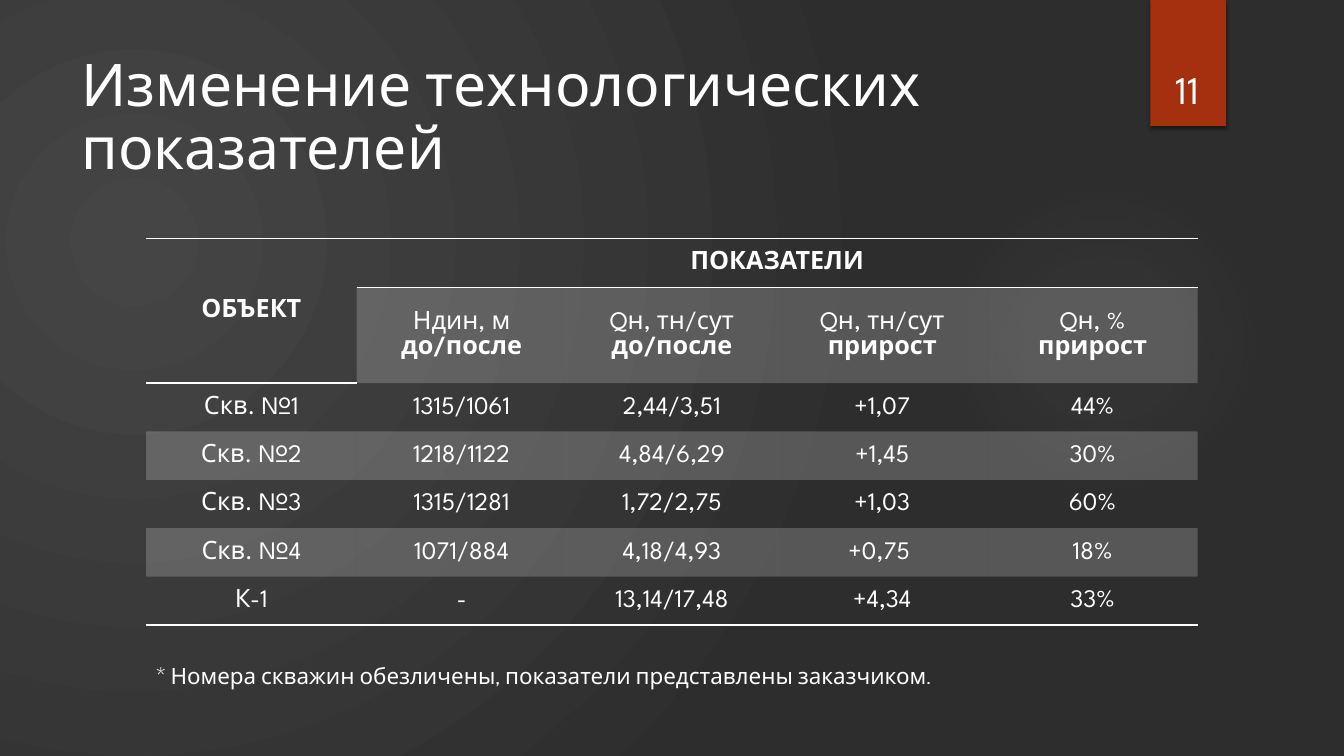
from dataclasses import dataclass

import pptx
import pptx.dml.color
import pptx.enum.shapes
import pptx.enum.text
import pptx.oxml
import pptx.oxml.ns
import pptx.util
from pptx.util import Inches


@dataclass(frozen=True)
class Theme:
    heading_font: str = "League Spartan"
    note_font: str = "Cabin"
    text: str = "FFFFFF"
    accent: str = "A5300F"
    glow: str = "848484"
    background_center: str = "454545"
    background_edge: str = "2D2D2D"
    title_size: int = 42
    number_size: int = 28
    table_size: int = 18
    note_size: int = 16


THEME = Theme()
NO_TABLE_STYLE = "{2D5ABB26-0587-4C30-8999-92F81FD0307C}"
COLUMN_HEADS = [
    ("Ндин, м", "до/после"),
    ("Qн, тн/сут", "до/после"),
    ("Qн, тн/сут", "прирост"),
    ("Qн, %", "прирост"),
]
WELLS = [
    ("Скв. №1", "1315/1061", "2,44/3,51", "+1,07", "44%"),
    ("Скв. №2", "1218/1122", "4,84/6,29", "+1,45", "30%"),
    ("Скв. №3", "1315/1281", "1,72/2,75", "+1,03", "60%"),
    ("Скв. №4", "1071/884", "4,18/4,93", "+0,75 ", "18%"),
    ("К-1", "-", "13,14/17,48", "+4,34", "33%"),
]


def rgb(color):
    return pptx.dml.color.RGBColor.from_string(color)


def xml(tag, content, attributes=""):
    namespace = pptx.oxml.ns.nsdecls("a")
    return pptx.oxml.parse_xml(f"<a:{tag} {namespace} {attributes}>{content}</a:{tag}>")


def set_radial_fill(properties, stops, focus):
    stop_list = "".join(
        f'<a:gs pos="{position * 1000}"><a:srgbClr val="{color}">'
        f'<a:alpha val="{alpha * 1000}"/></a:srgbClr></a:gs>'
        for position, color, alpha in stops
    )
    edges = " ".join(f'{side}="{value * 1000}"' for side, value in zip("ltrb", focus))
    gradient = xml("gradFill", f'<a:gsLst>{stop_list}</a:gsLst>'
                   f'<a:path path="circle"><a:fillToRect {edges}/></a:path>')
    solid = properties.find(pptx.oxml.ns.qn("a:solidFill"))
    properties.replace(solid, gradient)


def add_background(slide):
    slide.background.fill.solid()
    properties = slide.element.find(".//" + pptx.oxml.ns.qn("p:bgPr"))
    stops = [(0, THEME.background_center, 100), (100, THEME.background_edge, 100)]
    set_radial_fill(properties, stops, (45, 65, 125, 100))


def add_plain_shape(slide, kind, left, top, width, height, color):
    shape = slide.shapes.add_shape(
        kind, Inches(left), Inches(top), Inches(width), Inches(height))
    shape.shadow.inherit = False
    shape.fill.solid()
    shape.fill.fore_color.rgb = rgb(color)
    shape.line.fill.background()
    return shape


def add_glow(slide):
    glow = add_plain_shape(slide, pptx.enum.shapes.MSO_SHAPE.OVAL,
                           9.41, 1.83, 3.08, 3.08, THEME.glow)
    stops = [(0, THEME.glow, 7), (36, THEME.glow, 6), (69, THEME.glow, 0)]
    set_radial_fill(glow.element.spPr, stops, (50, 50, 50, 50))


def add_number_tab(slide):
    tab = add_plain_shape(slide, pptx.enum.shapes.MSO_SHAPE.RECTANGLE,
                          11.41, 0, 0.75, 1.25, THEME.accent)
    effects = tab.element.spPr.find(pptx.oxml.ns.qn("a:effectLst"))
    effects.append(xml(
        "outerShdw", '<a:srgbClr val="000000"><a:alpha val="45000"/></a:srgbClr>',
        'blurRad="38100" dist="25400" dir="5400000" rotWithShape="0"'))


def style_paragraph(paragraph, font_name, size, bold=False):
    paragraph.font.name = font_name
    paragraph.font.size = pptx.util.Pt(size)
    paragraph.font.bold = bold
    paragraph.font.color.rgb = rgb(THEME.text)


def add_text(slide, text, left, top, width, height, font_name, size):
    box = slide.shapes.add_textbox(
        Inches(left), Inches(top), Inches(width), Inches(height))
    frame = box.text_frame
    frame.word_wrap = True
    frame.text = text
    style_paragraph(frame.paragraphs[0], font_name, size)
    return frame


def fill_cell(cell, lines, shaded=False):
    cell.vertical_anchor = pptx.enum.text.MSO_ANCHOR.MIDDLE
    cell.margin_left = cell.margin_right = Inches(0.07)
    cell.margin_top = cell.margin_bottom = 0
    cell.text = "\n".join(text for text, bold in lines)
    for paragraph, (text, bold) in zip(cell.text_frame.paragraphs, lines):
        paragraph.alignment = pptx.enum.text.PP_ALIGN.CENTER
        paragraph.line_spacing = 1.07
        style_paragraph(paragraph, THEME.heading_font, THEME.table_size, bold)
    if shaded:
        cell.fill.solid()
        cell.fill.fore_color.rgb = rgb(THEME.text)
        color = cell._tc.tcPr.find(".//" + pptx.oxml.ns.qn("a:srgbClr"))
        color.append(xml("alpha", "", 'val="20000"'))
    else:
        cell.fill.background()


def add_borders(cell, sides):
    properties = cell._tc.get_or_add_tcPr()
    for index, side in enumerate(sides):
        line = xml(f"ln{side}", f'<a:solidFill><a:srgbClr val="{THEME.text}"/></a:solidFill>',
                   'w="12700"')
        properties.insert(index, line)


def add_indicator_table(slide):
    row_count, column_count = len(WELLS) + 2, len(WELLS[0])
    frame = slide.shapes.add_table(
        row_count, column_count, Inches(1.45), Inches(2.37), Inches(10.43), Inches(3.81))
    table = frame.table
    table.first_row = table.horz_banding = False
    frame.element.find(".//" + pptx.oxml.ns.qn("a:tableStyleId")).text = NO_TABLE_STYLE
    for index, row in enumerate(table.rows):
        row.height = Inches(0.95 if index == 1 else 0.48)

    table.cell(0, 0).merge(table.cell(1, 0))
    table.cell(0, 1).merge(table.cell(0, column_count - 1))
    fill_cell(table.cell(0, 0), [("ОБЪЕКТ", True)])
    fill_cell(table.cell(0, 1), [("ПОКАЗАТЕЛИ", True)])
    for column, (quantity, measure) in enumerate(COLUMN_HEADS, start=1):
        fill_cell(table.cell(1, column), [(quantity, False), (measure, True)], shaded=True)
    for row, values in enumerate(WELLS, start=2):
        for column, value in enumerate(values):
            fill_cell(table.cell(row, column), [(value, False)], shaded=row % 2 == 1)

    for column in range(column_count):
        add_borders(table.cell(0, column), "TB")
        add_borders(table.cell(row_count - 1, column), "B")
    add_borders(table.cell(1, 0), "B")


def main():
    presentation = pptx.Presentation()
    presentation.slide_width = Inches(13.33)
    presentation.slide_height = Inches(7.5)
    slide = presentation.slides.add_slide(presentation.slide_layouts[6])
    add_background(slide)
    add_glow(slide)
    add_number_tab(slide)
    number = add_text(slide, "11", 11.32, 0.32, 0.92, 0.84,
                      THEME.heading_font, THEME.number_size)
    number.vertical_anchor = pptx.enum.text.MSO_ANCHOR.BOTTOM
    number.paragraphs[0].alignment = pptx.enum.text.PP_ALIGN.CENTER
    add_indicator_table(slide)
    add_text(slide, "* Номера скважин обезличены, показатели представлены заказчиком.",
             1.45, 6.52, 10.43, 0.37, THEME.note_font, THEME.note_size)
    title = add_text(slide, "Изменение технологических показателей",
                     0.71, 0.5, 10.29, 1.53, THEME.heading_font, THEME.title_size)
    title.paragraphs[0].line_spacing = 0.9
    presentation.save("out.pptx")


if __name__ == "__main__":
    main()
